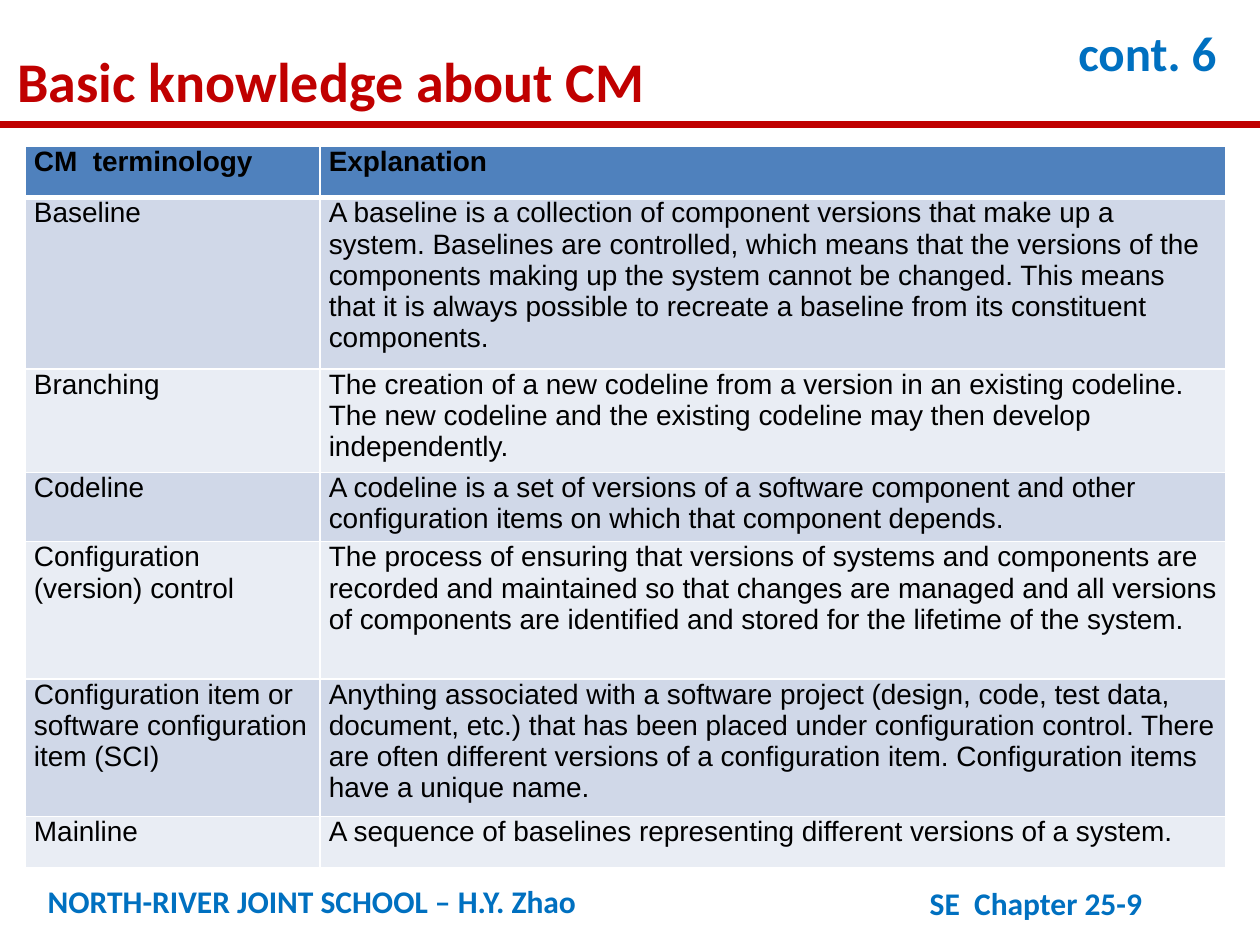
from lxml.etree import SubElement
from pptx import Presentation
from pptx.dml.color import RGBColor
from pptx.enum.shapes import MSO_CONNECTOR
from pptx.enum.text import PP_ALIGN
from pptx.oxml.ns import qn
from pptx.util import Inches, Pt

RED, BLUE, BLACK, WHITE = "C00000", "0070C0", "000000", "FFFFFF"
HEADER_FILL = "4F81BD"
BAND_FILLS = ("D0D8E8", "E9EDF4")
COLUMN_WIDTHS = (2.34, 7.19)
ROW_HEIGHTS = (0.41, 1.36, 0.82, 0.55, 1.09, 1.09, 0.41)
JUSTIFIED_TERMS = ("CM  terminology", "Explanation", "Mainline")
TERMS = (
    ("CM  terminology", "Explanation"),
    ("Baseline",
     "A baseline is a collection of component versions that make up a system. "
     "Baselines are controlled, which means that the versions of the components "
     "making up the system cannot be changed. This means that it is always possible "
     "to recreate a baseline from its constituent components."),
    ("Branching",
     "The creation of a new codeline from a version in an existing codeline. "
     "The new codeline and the existing codeline may then develop independently."),
    ("Codeline",
     "A codeline is a set of versions of a software component and other "
     "configuration items on which that component depends."),
    ("Configuration (version) control",
     "The process of ensuring that versions of systems and components are recorded "
     "and maintained so that changes are managed and all versions of components are "
     "identified and stored for the lifetime of the system."),
    ("Configuration item or software configuration item (SCI)",
     "Anything associated with a software project (design, code, test data, document, "
     "etc.) that has been placed under configuration control. There are often different "
     "versions of a configuration item. Configuration items have a unique name."),
    ("Mainline", "A sequence of baselines representing different versions of a system."),
)


def rgb(color):
    """Turn a hex string into a colour."""
    return RGBColor.from_string(color)


def style_runs(paragraph, font, size, color, bold):
    """Format every run of a paragraph."""
    for run in paragraph.runs:
        run.font.name = font
        run.font.size = Pt(size)
        run.font.bold = bold
        run.font.color.rgb = rgb(color)


def add_label(slide, text, left, top, width, height, size, color, spacing=None):
    """Add a bold one-line text box."""
    label = slide.shapes.add_textbox(*map(Inches, (left, top, width, height)))
    label.text_frame.word_wrap = True
    label.text_frame.text = text
    paragraph = label.text_frame.paragraphs[0]
    paragraph.line_spacing = spacing
    style_runs(paragraph, "Calibri", size, color, True)


def add_rule(slide, y, color, width):
    """Draw a horizontal line across the slide."""
    rule = slide.shapes.add_connector(
        MSO_CONNECTOR.STRAIGHT, 0, Inches(y), Inches(10), Inches(y))
    rule.line.color.rgb = rgb(color)
    rule.line.width = Pt(width)
    SubElement(rule._element.spPr, qn("a:effectLst"))


def set_borders(cell, color, bottom_width):
    """Draw the four borders of a cell, before its fill is set."""
    properties = cell._tc.get_or_add_tcPr()
    for side, width in (("L", 1), ("R", 1), ("T", 1), ("B", bottom_width)):
        border = SubElement(properties, qn(f"a:ln{side}"), w=str(Pt(width)))
        fill = SubElement(border, qn("a:solidFill"))
        SubElement(fill, qn("a:srgbClr"), val=color)


def fill_cell(cell, text, fill, is_header):
    """Write and format one table cell."""
    set_borders(cell, WHITE, 3 if is_header else 1)
    cell.fill.solid()
    cell.fill.fore_color.rgb = rgb(fill)
    cell.margin_left = cell.margin_right = Inches(0.07)
    cell.margin_top = cell.margin_bottom = 0
    cell.text_frame.text = text
    paragraph = cell.text_frame.paragraphs[0]
    paragraph.alignment = PP_ALIGN.JUSTIFY if text in JUSTIFIED_TERMS else PP_ALIGN.LEFT
    paragraph.space_after = Pt(2)
    style_runs(paragraph, "Arial", 16, BLACK, is_header)


def add_glossary(slide, left, top):
    """Add the table of terms and explanations."""
    glossary = slide.shapes.add_table(
        len(TERMS), len(COLUMN_WIDTHS), Inches(left), Inches(top),
        Inches(sum(COLUMN_WIDTHS)), Inches(sum(ROW_HEIGHTS))).table
    for column, width in zip(glossary.columns, COLUMN_WIDTHS):
        column.width = Inches(width)
    for index, (row, height, entry) in enumerate(zip(glossary.rows, ROW_HEIGHTS, TERMS)):
        row.height = Inches(height)
        fill = BAND_FILLS[(index - 1) % 2] if index else HEADER_FILL
        for cell, text in zip(row.cells, entry):
            fill_cell(cell, text, fill, index == 0)


def main():
    """Build and save the slide."""
    deck = Presentation()
    deck.slide_width, deck.slide_height = Inches(10), Inches(7.5)
    slide = deck.slides.add_slide(deck.slide_layouts[6])
    add_rule(slide, 0.99, RED, 4)
    add_label(slide, "NORTH-RIVER JOINT SCHOOL – H.Y. Zhao", 0.28, 6.95, 6.31, 0.4, 18, BLUE)
    add_label(slide, "SE  Chapter 25-9", 7.28, 6.97, 2.61, 0.4, 18, BLUE)
    add_glossary(slide, 0.2, 1.16)
    add_label(slide, "Basic knowledge about CM", 0.04, 0.21, 8.43, 0.7, 32, RED, 1.2)
    add_label(slide, "cont. 6", 8.46, 0.21, 1.5, 0.5, 28, BLUE, Pt(28))
    deck.save("out.pptx")


if __name__ == "__main__":
    main()
